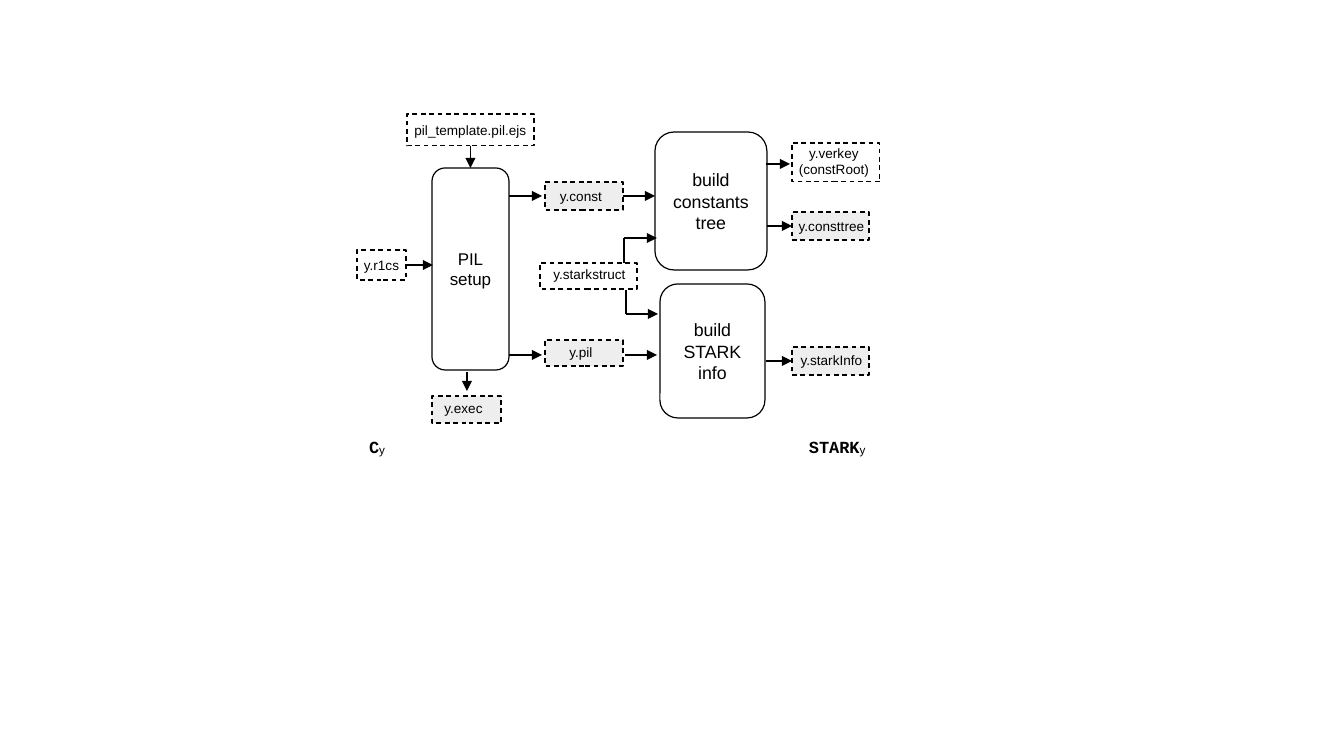
from lxml.etree import SubElement
from pptx import Presentation
from pptx.dml.color import RGBColor
from pptx.enum.dml import MSO_LINE
from pptx.enum.shapes import MSO_CONNECTOR, MSO_SHAPE
from pptx.enum.text import MSO_ANCHOR, PP_ALIGN
from pptx.oxml.ns import qn
from pptx.util import Pt

SCALE = 914400 / 122
HUES = {"ink": "000000", "paper": "FFFFFF", "grey": "EEEEEE"}


def px(*vals):
    return [round(v * SCALE) for v in vals]


def tint(name):
    return RGBColor.from_string(HUES[name])


def apply(item, form):
    for key, val in form.items():
        setattr(item, key, val)


class Chart:
    """Draws the boxes, arrows and captions of the setup flow."""

    def __init__(self, slide):
        self.slide = slide
        self.font = {"name": "Arial", "size": Pt(8), "bold": False}
        self.width = Pt(0.71)

    def style(self, run, **form):
        apply(run.font, {**self.font, **form})
        run.font.color.rgb = tint("ink")

    def frame(self, shape, wrap, sides):
        names = ("margin_left", "margin_top", "margin_right", "margin_bottom")
        form = dict(zip(names, px(*sides)))
        form.update(word_wrap=wrap, vertical_anchor=MSO_ANCHOR.MIDDLE)
        apply(shape.text_frame, form)
        return shape.text_frame

    def box(self, kind, area, lines, fill, size, wrap, sides):
        shape = self.slide.shapes.add_shape(kind, *px(*area))
        shape.shadow.inherit = False
        if fill:
            shape.fill.solid()
            shape.fill.fore_color.rgb = tint(fill)
        else:
            shape.fill.background()
        shape.line.color.rgb = tint("ink")
        shape.line.width = self.width
        body = self.frame(shape, wrap, sides)
        for num, line in enumerate(lines):
            para = body.add_paragraph() if num else body.paragraphs[0]
            para.alignment = PP_ALIGN.CENTER
            run = para.add_run()
            run.text = line
            self.style(run, size=Pt(size))
        return shape

    def step(self, area, lines, size):
        shape = self.box(MSO_SHAPE.ROUNDED_RECTANGLE, area, lines, "paper",
                         size, True, (12, 6, 12, 6))
        shape.adjustments[0] = 0.17
        return shape

    def file(self, area, lines, fill=None, shift=(0, 0)):
        dx, dy = (2 * n for n in shift)
        sides = max(dx, 0), max(dy, 0), max(-dx, 0), max(-dy, 0)
        shape = self.box(MSO_SHAPE.RECTANGLE, area, lines, fill, 8, False, sides)
        shape.line.dash_style = MSO_LINE.DASH
        return shape

    def line(self, ends, head=True, start=None, stop=None):
        link = self.slide.shapes.add_connector(MSO_CONNECTOR.STRAIGHT, *px(*ends))
        if start:
            link.begin_connect(*start)
        if stop:
            link.end_connect(*stop)
        link.line.color.rgb = tint("ink")
        link.line.width = self.width
        if head:
            SubElement(link.line._get_or_add_ln(), qn("a:tailEnd"), type="triangle")
        SubElement(link._element.spPr, qn("a:effectLst"))

    def caption(self, area, name, sub):
        shape = self.slide.shapes.add_textbox(*px(*area))
        para = self.frame(shape, True, (12, 6, 12, 6)).paragraphs[0]
        main, low = para.add_run(), para.add_run()
        main.text, low.text = name, sub
        self.style(main, name="Courier New", size=Pt(10), bold=True)
        self.style(low, size=Pt(12))
        low._r.get_or_add_rPr().set("baseline", "-8000")


def main():
    deck = Presentation()
    deck.slide_width, deck.slide_height = px(1344, 756)
    flow = Chart(deck.slides.add_slide(deck.slide_layouts[6]))

    setup = flow.step((432, 168, 77, 202), ["PIL", "setup"], 10)
    flow.step((660, 284, 105, 134), ["build", "STARK", "info"], 10.5)
    flow.step((655, 132, 112, 138), ["build constants tree"], 10.5)

    blank = flow.file((407, 114, 127, 32), ["pil_template.pil.ejs"])
    rules = flow.file((357, 250, 49, 30), ["y.r1cs"])
    const = flow.file((545, 182, 78, 28), ["y.const"], "grey", (-3, 0))
    flow.file((545, 340, 78, 26), ["y.pil"], "grey", (-3, -1))
    flow.file((432, 396, 69, 27), ["y.exec"], "grey", (-3, -1))
    flow.file((540, 263, 97, 26), ["y.starkstruct"], None, (1, -2))
    flow.file((792, 143, 88, 39), ["y.verkey", "(constRoot)"], None, (-2, -1))
    tree = flow.file((792, 212, 77, 28), ["y.consttree"], "grey", (1, 0))
    info = flow.file((792, 347, 77, 28), ["y.starkInfo"], "grey", (1, -1))

    flow.line((470, 146, 470, 168), start=(blank, 2), stop=(setup, 0))
    flow.line((406, 265, 433, 265), start=(rules, 3))
    flow.line((623, 196, 655, 196), start=(const, 3))
    flow.line((767, 226, 792, 226), stop=(tree, 1))
    flow.line((766, 361, 792, 361), stop=(info, 1))
    for ends in ((509, 196, 542, 196), (509, 355, 542, 355),
                 (625, 355, 657, 355), (467, 372, 467, 391),
                 (766, 164, 790, 164), (624, 238, 657, 238),
                 (626, 314, 658, 314)):
        flow.line(ends)
    for ends in ((624, 238, 624, 263), (626, 290, 626, 314)):
        flow.line(ends, head=False)

    flow.caption((357, 426, 60, 38), "C", "y")
    flow.caption((797, 426, 122, 38), "STARK", "y")
    deck.save("out.pptx")


if __name__ == "__main__":
    main()
